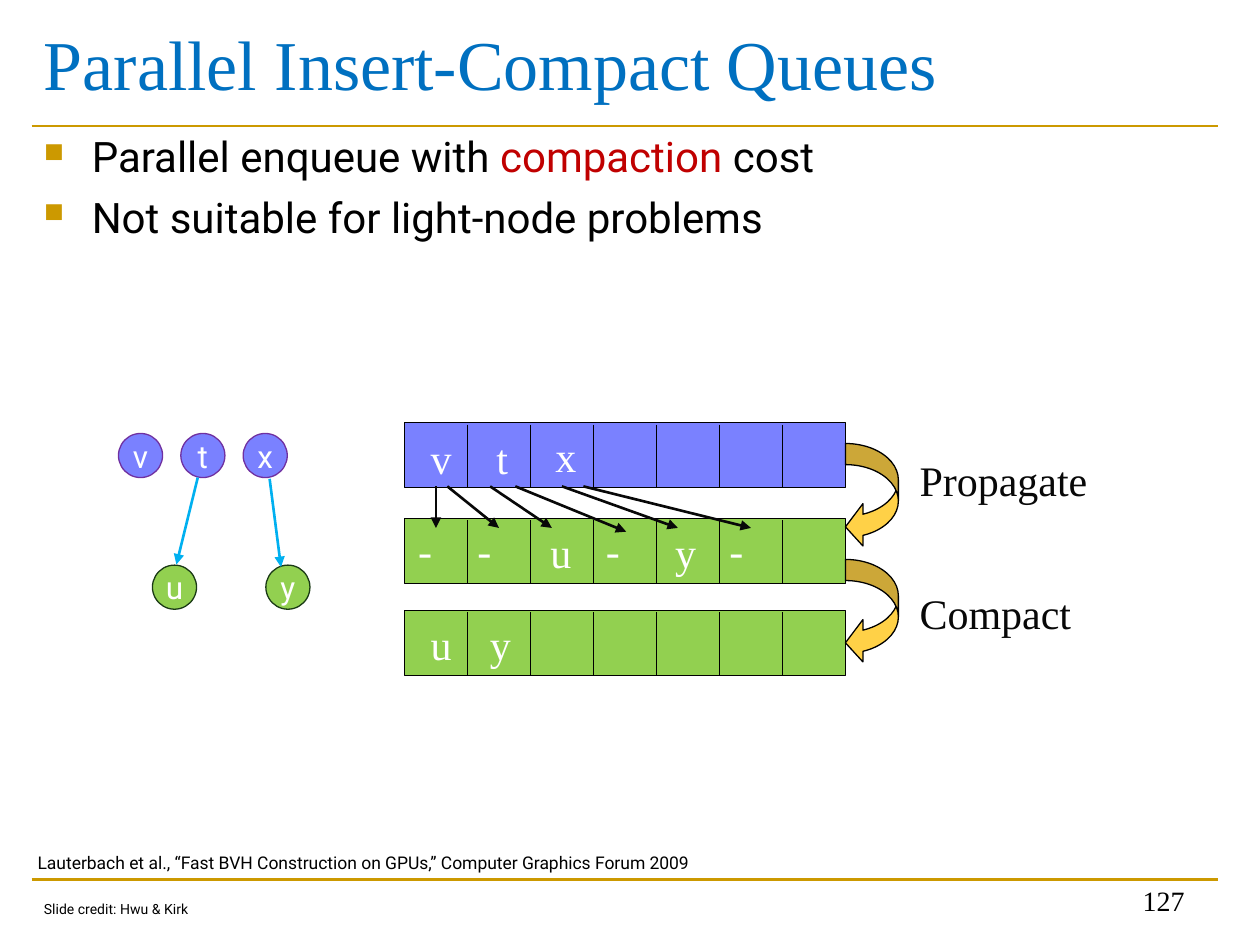
from dataclasses import dataclass

from lxml.etree import SubElement
from pptx import Presentation
from pptx.dml.color import RGBColor
from pptx.enum.shapes import MSO_CONNECTOR, MSO_SHAPE
from pptx.enum.text import MSO_ANCHOR, MSO_AUTO_SIZE, PP_ALIGN
from pptx.oxml.ns import qn
from pptx.util import Inches, Pt


@dataclass(frozen=True)
class Theme:
    serif: str = "Times New Roman"
    sans: str = "Roboto"
    black: str = "000000"
    ink: str = "080808"
    white: str = "FFFFFF"
    gold: str = "CC9900"
    title: str = "0070C0"
    accent: str = "C00000"
    parent: str = "7A81FF"
    parent_edge: str = "7030A0"
    child: str = "92D050"
    child_edge: str = "1A3A15"
    tree: str = "00B0F0"
    step: str = "FFD147"
    title_size: int = 40
    body_size: int = 24
    node_size: int = 18
    number_size: int = 16
    source_size: int = 10
    credit_size: int = 8
    thin: float = 0.75
    thick: float = 1.5


THEME = Theme()
COLUMNS, ROWS = 20, 15  # half-inch cells; a queue slot is one cell wide
QUEUE_LEFT, SLOTS = 6.42, 7
QUEUE_RIGHT = QUEUE_LEFT + SLOTS


def cells(count):
    return Inches(count / 2)


def color(code):
    return RGBColor.from_string(code)


def write(para, text, *, size=THEME.body_size, font=THEME.serif, fill=THEME.black):
    span = para.add_run()
    span.text = text
    span.font.size = Pt(size)
    span.font.name = font
    span.font.color.rgb = color(fill)


def add_text(slide, text, left, top, width, height=1, *, wrap=False,
             anchor=MSO_ANCHOR.TOP, align=PP_ALIGN.LEFT, **style):
    box = slide.shapes.add_textbox(*map(cells, (left, top, width, height)))
    frame = box.text_frame
    frame.word_wrap = wrap
    frame.auto_size = MSO_AUTO_SIZE.NONE if wrap else MSO_AUTO_SIZE.SHAPE_TO_FIT_TEXT
    frame.vertical_anchor = anchor
    para = frame.paragraphs[0]
    para.alignment = align
    if text:
        write(para, text, **style)
    return box


def add_bullets(slide, items, left, top, width, height):
    frame = add_text(slide, "", left, top, width, height, wrap=True).text_frame
    for index, pieces in enumerate(items):
        para = frame.add_paragraph() if index else frame.paragraphs[0]
        para.space_before = Pt(5.6 if index else 0)
        settings = para._p.get_or_add_pPr()
        settings.set("marL", str(Inches(0.38)))
        settings.set("indent", str(Inches(-0.38)))
        tint = SubElement(settings, qn("a:buClr"))
        SubElement(tint, qn("a:srgbClr"), val=THEME.gold)
        SubElement(settings, qn("a:buSzPct"), val="65000")
        SubElement(settings, qn("a:buChar"), char="■")
        for text, fill in pieces:
            write(para, text, font=THEME.sans, fill=fill)


def add_line(slide, start, end, *, fill=THEME.black, width=THEME.thin, arrow=False):
    line = slide.shapes.add_connector(MSO_CONNECTOR.STRAIGHT, *map(cells, start + end))
    line.line.color.rgb = color(fill)
    line.line.width = Pt(width)
    properties = line.element.spPr
    if arrow:
        SubElement(properties.find(qn("a:ln")), qn("a:tailEnd"), type="triangle")
    SubElement(properties, qn("a:effectLst"))


def add_shape(slide, kind, left, top, width, height, *, fill, edge=THEME.black):
    shape = slide.shapes.add_shape(kind, *map(cells, (left, top, width, height)))
    shape.shadow.inherit = False
    shape.fill.solid()
    shape.fill.fore_color.rgb = color(fill)
    shape.line.color.rgb = color(edge)
    shape.line.width = Pt(THEME.thin)
    return shape


def add_node(slide, letter, left, top, fill, edge):
    node = add_shape(slide, MSO_SHAPE.OVAL, left, top, 0.7, 0.7, fill=fill, edge=edge)
    frame = node.text_frame
    frame.word_wrap = False
    frame.vertical_anchor = MSO_ANCHOR.MIDDLE
    frame.paragraphs[0].alignment = PP_ALIGN.CENTER
    write(frame.paragraphs[0], letter, size=THEME.node_size, font=THEME.sans,
          fill=THEME.white)


def add_queue(slide, top, fill, entries):
    """Draw the slots; each entry is a letter, its left in slots, its top and width."""
    height = 1.03
    add_shape(slide, MSO_SHAPE.RECTANGLE, QUEUE_LEFT, top, SLOTS, height, fill=fill)
    for slot in range(1, SLOTS):
        x = QUEUE_LEFT + slot
        add_line(slide, (x, top + height - 1), (x, top + height))
    for letter, offset, letter_top, width in entries:
        add_text(slide, letter, QUEUE_LEFT + offset, letter_top, width,
                 fill=THEME.white)


def add_step(slide, label, arrow_top, label_top, width):
    arrow = add_shape(slide, MSO_SHAPE.CURVED_LEFT_ARROW, QUEUE_RIGHT, arrow_top,
                      0.84, 1.66, fill=THEME.step)
    for index, value in enumerate((0.4, 0.8, 0.33)):
        arrow.adjustments[index] = value
    add_text(slide, label, 14.4, label_top, width, fill=THEME.ink)


def main():
    deck = Presentation()
    deck.slide_width, deck.slide_height = cells(COLUMNS), cells(ROWS)
    slide = deck.slides.add_slide(deck.slide_layouts[6])

    # Rules, title and bullets
    for y in (13.96, 2):
        add_line(slide, (0.5, y), (19.34, y), fill=THEME.gold, width=THEME.thick)
    add_text(slide, "Parallel Insert-Compact Queues", 0.5, 0, 18.84, 1.98, wrap=True,
             anchor=MSO_ANCHOR.MIDDLE, size=THEME.title_size, fill=THEME.title)
    add_bullets(slide, [
        [("Parallel enqueue with ", THEME.black), ("compaction", THEME.accent),
         (" cost", THEME.black)],
        [("Not suitable for light-node problems", THEME.black)],
    ], 0.5, 1.98, 18.84, 11.96)

    # Queues before, during and after the step
    add_queue(slide, 6.71, THEME.parent,
              [("v", 0.22, 6.76, 0.74), ("t", 1.26, 6.76, 0.58), ("x", 2.2, 6.74, 0.74)])
    add_queue(slide, 9.69, THEME.child,
              [("u", 0.22, 9.72, 0.74), ("y", 1.16, 9.72, 0.74)])
    add_queue(slide, 8.23, THEME.child,
              [("u", 2.12, 8.26, 0.74), ("y", 4.1, 8.26, 0.74)]
              + [("-", offset, 8.22, 0.62) for offset in (0.02, 0.96, 3, 4.96)])
    add_step(slide, "Propagate", 7.04, 7.12, 3.32)
    add_step(slide, "Compact", 8.88, 9.22, 3.08)

    # Each parent writes to two slots
    for start, end, tip in ((6.92, 6.92, 8.38), (7.1, 7.92, 8.38), (7.78, 8.76, 8.38),
                            (8.18, 9.94, 8.44), (8.92, 10.76, 8.38),
                            (9.26, 11.92, 8.38)):
        add_line(slide, (start, 7.72), (end, tip), fill=THEME.ink,
                 width=THEME.thick, arrow=True)

    # Tree nodes and edges
    for letter, left in (("v", 1.88), ("t", 2.87), ("x", 3.86)):
        add_node(slide, letter, left, 6.88, THEME.parent, THEME.parent_edge)
    for letter, left in (("u", 2.42), ("y", 4.22)):
        add_node(slide, letter, left, 8.97, THEME.child, THEME.child_edge)
    for start, end in (((3.14, 7.58), (2.8, 8.96)), ((4.28, 7.6), (4.46, 9))):
        add_line(slide, start, end, fill=THEME.tree, width=THEME.thick, arrow=True)

    # Footer
    add_text(slide, "127", 14.34, 13.66, 4.66, wrap=True, anchor=MSO_ANCHOR.BOTTOM,
             align=PP_ALIGN.RIGHT, size=THEME.number_size)
    add_text(slide, "Slide credit: Hwu & Kirk", 0.5, 14.2, 2.78, 0.48,
             size=THEME.credit_size, font=THEME.sans)
    add_text(slide, "Lauterbach et al., “Fast BVH Construction on GPUs,” "
             "Computer Graphics Forum 2009", 0.4, 13.42, 10.9, 0.54,
             size=THEME.source_size, font=THEME.sans)

    deck.save("out.pptx")


if __name__ == "__main__":
    main()
